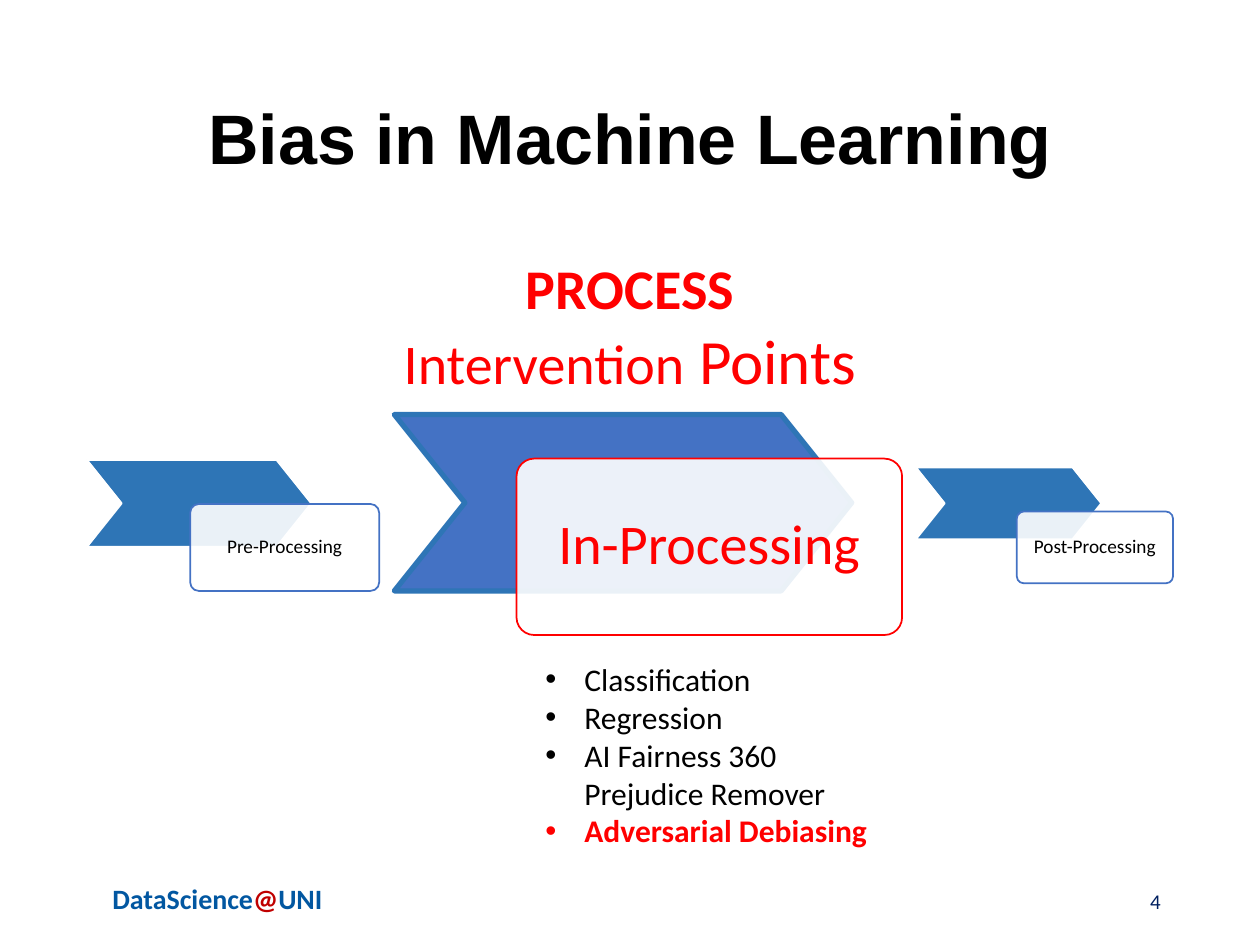
from pptx import Presentation
from pptx.dml.color import RGBColor
from pptx.enum.shapes import MSO_SHAPE
from pptx.enum.text import MSO_ANCHOR, PP_ALIGN
from pptx.oxml.ns import qn
from pptx.util import Inches, Pt
from lxml.etree import SubElement

BLACK, WHITE, RED = "000000", "FFFFFF", "FF0000"
STEEL, ROYAL = "2E75B6", "4472C4"
CENTERED = {"alignment": PP_ALIGN.CENTER}
TIGHT = {**CENTERED, "line_spacing": 0.9}

# chevron box, label box, label, label size, chevron fill, chevron line, accent
STAGES = [
    ((0.69, 3.65, 1.78, 0.69), (1.51, 4, 1.5, 0.69),
     "Pre-Processing", 11, STEEL, (WHITE, 1), (ROYAL, BLACK)),
    ((3.13, 3.29, 3.63, 1.4), (4.1, 3.64, 3.06, 1.4),
     "In-Processing", 32, ROYAL, (STEEL, 3), (RED, RED)),
    ((7.27, 3.71, 1.47, 0.57), (8.07, 4.06, 1.24, 0.57),
     "Post-Processing", 11, STEEL, (WHITE, 1), (ROYAL, BLACK)),
]
METHODS = [
    ("Classification", BLACK, False),
    ("Regression", BLACK, False),
    ("AI Fairness 360 Prejudice Remover", BLACK, False),
    ("Adversarial Debiasing", RED, True),
]


def rgb(color):
    return RGBColor.from_string(color)


def apply(target, values):
    for name, value in values.items():
        setattr(target, name, value)


def add_run(paragraph, text, size, color, bold=False, font="Calibri"):
    run = paragraph.add_run()
    run.text = text
    apply(run.font, {"size": Pt(size), "bold": bold, "name": font})
    run.font.color.rgb = rgb(color)


def add_text(slide, box, runs, paragraph_format, anchor=MSO_ANCHOR.TOP):
    """Place one paragraph, made of several runs, in a wrapping text box."""
    frame = slide.shapes.add_textbox(*map(Inches, box)).text_frame
    apply(frame, {"word_wrap": True, "vertical_anchor": anchor})
    apply(frame.paragraphs[0], paragraph_format)
    for run in runs:
        add_run(frame.paragraphs[0], *run)


def add_panel(slide, preset, box, adjustment, fill, line):
    panel = slide.shapes.add_shape(preset, *map(Inches, box))
    panel.adjustments[0] = adjustment
    panel.shadow.inherit = False
    panel.fill.solid()
    panel.fill.fore_color.rgb = rgb(fill)
    line_color, line_width = line
    panel.line.color.rgb = rgb(line_color)
    panel.line.width = Pt(line_width)
    return panel


def set_opacity(shape, percent):
    fill_color = shape.fill._xPr.find(qn("a:solidFill"))[0]
    SubElement(fill_color, qn("a:alpha"), val=str(percent * 1000))


def add_stage(slide, chevron_box, label_box, label, size, fill, line, accent):
    """Draw a chevron with its translucent label card overlapping it."""
    border, text_color = accent
    add_panel(slide, MSO_SHAPE.CHEVRON, chevron_box, 0.4, fill, line)
    card = add_panel(slide, MSO_SHAPE.ROUNDED_RECTANGLE, label_box, 0.1,
                     WHITE, (border, 1))
    set_opacity(card, 90)
    margin = Inches(0.08)
    apply(card.text_frame, {
        "word_wrap": True, "vertical_anchor": MSO_ANCHOR.MIDDLE,
        "margin_left": margin, "margin_right": margin,
    })
    paragraph = card.text_frame.paragraphs[0]
    apply(paragraph, TIGHT)
    add_run(paragraph, label, size, text_color)


def add_bullets(slide, box, items, size):
    frame = slide.shapes.add_textbox(*map(Inches, box)).text_frame
    frame.word_wrap = True
    for index, (text, color, bold) in enumerate(items):
        paragraph = frame.add_paragraph() if index else frame.paragraphs[0]
        add_run(paragraph, text, size, color, bold)
        properties = paragraph._p.get_or_add_pPr()
        properties.set("marL", str(Inches(0.31)))
        properties.set("indent", str(Inches(-0.31)))
        SubElement(properties, qn("a:buFont"), typeface="Arial")
        SubElement(properties, qn("a:buChar"), char="•")


def main():
    deck = Presentation()
    apply(deck, {"slide_width": Inches(10), "slide_height": Inches(7.5)})
    slide = deck.slides.add_slide(deck.slide_layouts[6])

    add_text(slide, (0.69, 6.95, 2.07, 0.53),
             [("DataScience", 16, "0257A1", True), ("@", 16, "C00000", True),
              ("UNI", 16, "0257A1", True)], CENTERED)
    add_text(slide, (0.69, 0.4, 8.62, 1.45),
             [("Bias in Machine Learning", 40, BLACK, True, "Arial")],
             TIGHT, MSO_ANCHOR.MIDDLE)
    add_text(slide, (7.06, 6.95, 2.25, 0.4), [("4", 12, "002060")],
             {"alignment": PP_ALIGN.RIGHT}, MSO_ANCHOR.MIDDLE)

    for stage in STAGES:
        add_stage(slide, *stage)
    add_bullets(slide, (4.23, 5.19, 3.01, 1.92), METHODS, 18)

    add_text(slide, (2.95, 2.5, 4.1, 0.71),
             [("Intervention", 32, RED), (" Points", 36, RED)], CENTERED)
    add_text(slide, (3.61, 1.96, 2.78, 0.64),
             [("PROCESS", 32, RED, True)], CENTERED)

    deck.save("out.pptx")


if __name__ == "__main__":
    main()
